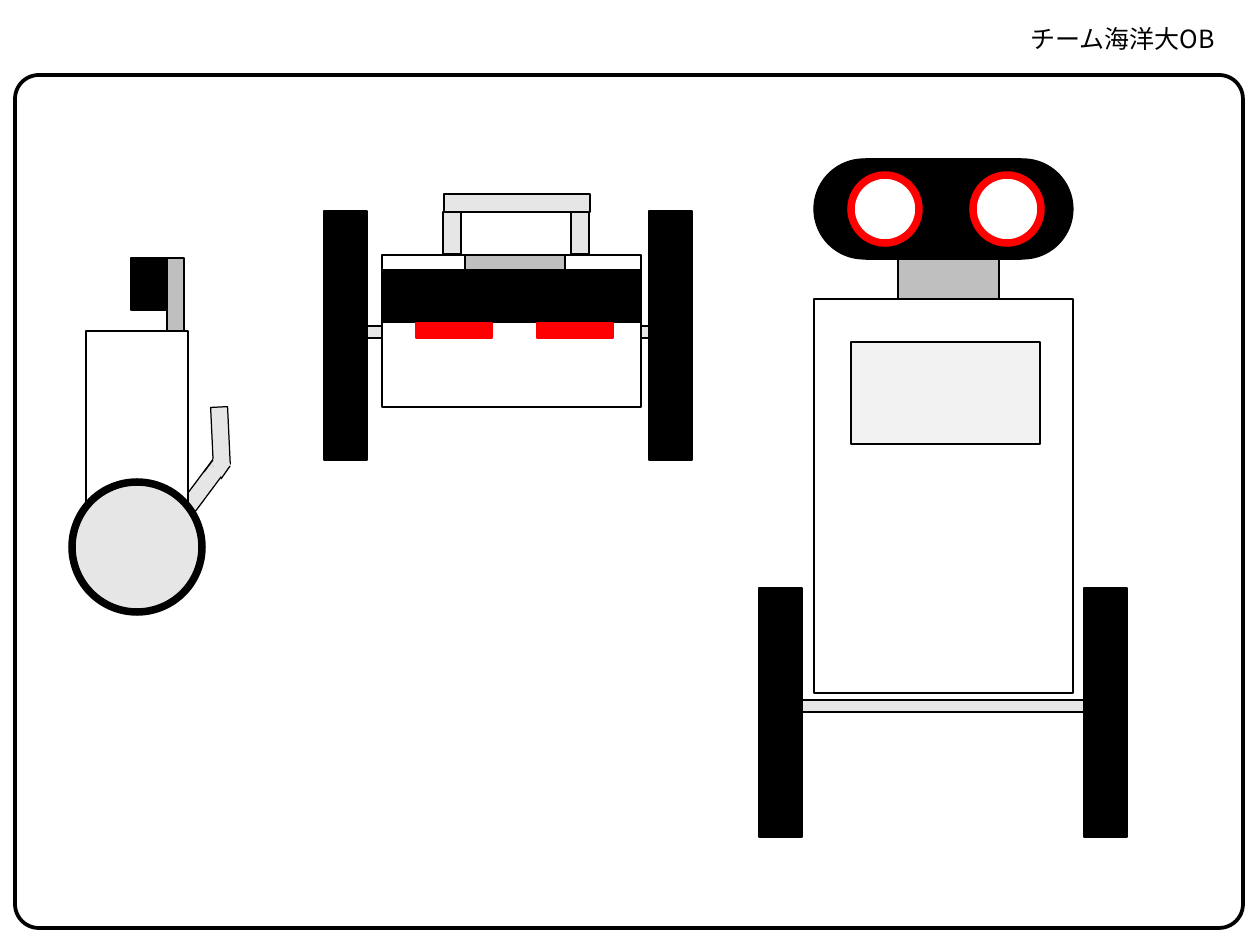
from lxml import etree
from pptx import Presentation
from pptx.dml.color import RGBColor
from pptx.enum.shapes import MSO_CONNECTOR, MSO_SHAPE
from pptx.enum.text import MSO_ANCHOR, MSO_AUTO_SIZE, PP_ALIGN
from pptx.oxml.ns import qn
from pptx.util import Emu, Pt

RECTANGLE = MSO_SHAPE.RECTANGLE
ROUNDED = MSO_SHAPE.ROUNDED_RECTANGLE
PARALLELOGRAM = MSO_SHAPE.PARALLELOGRAM
OVAL = MSO_SHAPE.OVAL
STRAIGHT = MSO_CONNECTOR.STRAIGHT

EMU_PER_PX = 10160
SLIDE_SIZE = (1260, 945)
FONT = "Noto Sans CJK JP"
BLACK, WHITE, RED = "000000", "FFFFFF", "FF0000"
PALE, GREY, SCREEN = "E7E6E6", "BFBFBF", "F2F2F2"

TITLE = "チーム海洋大OB"
TITLE_BOX = (988, 16, 236, 48)
FRAME_BOX = (15, 75, 1228, 853)
FRAME_CORNER = 0.028
FRONT_AXLE_BOX = (780, 700, 314, 12)

# Each part: preset, left edges, (top, width, height), fill, line format
SIDE_VIEW_TAIL = [
    (RECTANGLE, [123], (502, 125, 17), PALE, {"rotation": 306.7}),
    (RECTANGLE, [191], (428, 59, 17), PALE, {"rotation": 267.3}),
    (PARALLELOGRAM, [212], (456, 18, 17), PALE, {"rotation": 306.7, "line": PALE}),
]
TAIL_EDGES = [(204, 472, 213, 460), (221, 479, 230, 466)]
SIDE_VIEW_BODY = [
    (RECTANGLE, [86], (331, 102, 206), WHITE, {}),
    (RECTANGLE, [131], (258, 39, 52), BLACK, {}),
    (RECTANGLE, [167], (258, 17, 73), GREY, {}),
    (OVAL, [72], (482, 130, 130), PALE, {"weight": 6}),
]
FRONT_VIEW = [
    (RECTANGLE, [898], (159, 101, 140), GREY, {}),
    (RECTANGLE, [814], (299, 259, 394), WHITE, {}),
    (RECTANGLE, [759, 1084], (588, 43, 249), BLACK, {}),
    (RECTANGLE, [866], (159, 155, 100), BLACK, {}),
    (OVAL, [973, 814], (159, 100, 100), BLACK, {}),
    (OVAL, [973, 851], (175, 68, 68), WHITE, {"line": RED, "weight": 6}),
    (RECTANGLE, [851], (342, 189, 102), SCREEN, {}),
]
TOP_VIEW = [
    (RECTANGLE, [354], (326, 314, 12), PALE, {}),
    (RECTANGLE, [382], (255, 259, 152), WHITE, {}),
    (RECTANGLE, [324, 649], (211, 43, 249), BLACK, {}),
    (RECTANGLE, [382], (270, 259, 52), BLACK, {}),
    (RECTANGLE, [465], (255, 100, 15), GREY, {}),
    (RECTANGLE, [416, 537], (323, 76, 15), RED, {"line": RED}),
    (RECTANGLE, [444], (194, 146, 18), PALE, {}),
    (RECTANGLE, [431, 559], (224, 42, 18), PALE, {"rotation": 270}),
]


def px(*lengths):
    return [Emu(length * EMU_PER_PX) for length in lengths]


def color(value):
    return RGBColor.from_string(value)


def set_all(target, values):
    for name, value in values.items():
        setattr(target, name, value)


def style_line(line, value=BLACK, weight=1):
    line.color.rgb = color(value)
    line.width = Pt(weight)


def add_part(shapes, preset, box, fill=None, line=BLACK, weight=1, rotation=0):
    shape = shapes.add_shape(preset, *px(*box))
    shape.shadow.inherit = False
    shape.rotation = rotation
    if fill:
        shape.fill.solid()
        shape.fill.fore_color.rgb = color(fill)
    else:
        shape.fill.background()
    style_line(shape.line, line, weight)
    return shape


def add_parts(shapes, parts):
    for preset, lefts, (top, width, height), fill, options in parts:
        for left in lefts:
            add_part(shapes, preset, (left, top, width, height), fill, **options)


def add_edge(shapes, ends):
    connector = shapes.add_connector(STRAIGHT, *px(*ends))
    style_line(connector.line)
    etree.SubElement(connector._element.spPr, qn("a:effectLst"))


def write_title(title):
    set_all(title, dict(zip(("left", "top", "width", "height"), px(*TITLE_BOX))))
    set_all(title.text_frame, {
        "text": TITLE,
        "word_wrap": True,
        "auto_size": MSO_AUTO_SIZE.NONE,
        "vertical_anchor": MSO_ANCHOR.MIDDLE,
    })
    paragraph = title.text_frame.paragraphs[0]
    set_all(paragraph, {"alignment": PP_ALIGN.RIGHT, "line_spacing": 0.9})
    font = paragraph.runs[0].font
    set_all(font, {"name": FONT, "size": Pt(20)})
    font.color.rgb = color(BLACK)
    etree.SubElement(font._element, qn("a:ea"), typeface=FONT)


def main():
    presentation = Presentation()
    set_all(presentation, dict(zip(("slide_width", "slide_height"), px(*SLIDE_SIZE))))
    slide = presentation.slides.add_slide(presentation.slide_layouts[5])
    write_title(slide.shapes.title)

    frame = add_part(slide.shapes, ROUNDED, FRAME_BOX, weight=3)
    frame.adjustments[0] = FRAME_CORNER
    add_part(slide.shapes, RECTANGLE, FRONT_AXLE_BOX, PALE)

    side_view = slide.shapes.add_group_shape().shapes
    add_parts(side_view, SIDE_VIEW_TAIL)
    for ends in TAIL_EDGES:
        add_edge(side_view, ends)
    add_parts(side_view, SIDE_VIEW_BODY)

    for parts in (FRONT_VIEW, TOP_VIEW):
        add_parts(slide.shapes.add_group_shape().shapes, parts)

    presentation.save("out.pptx")


if __name__ == "__main__":
    main()
